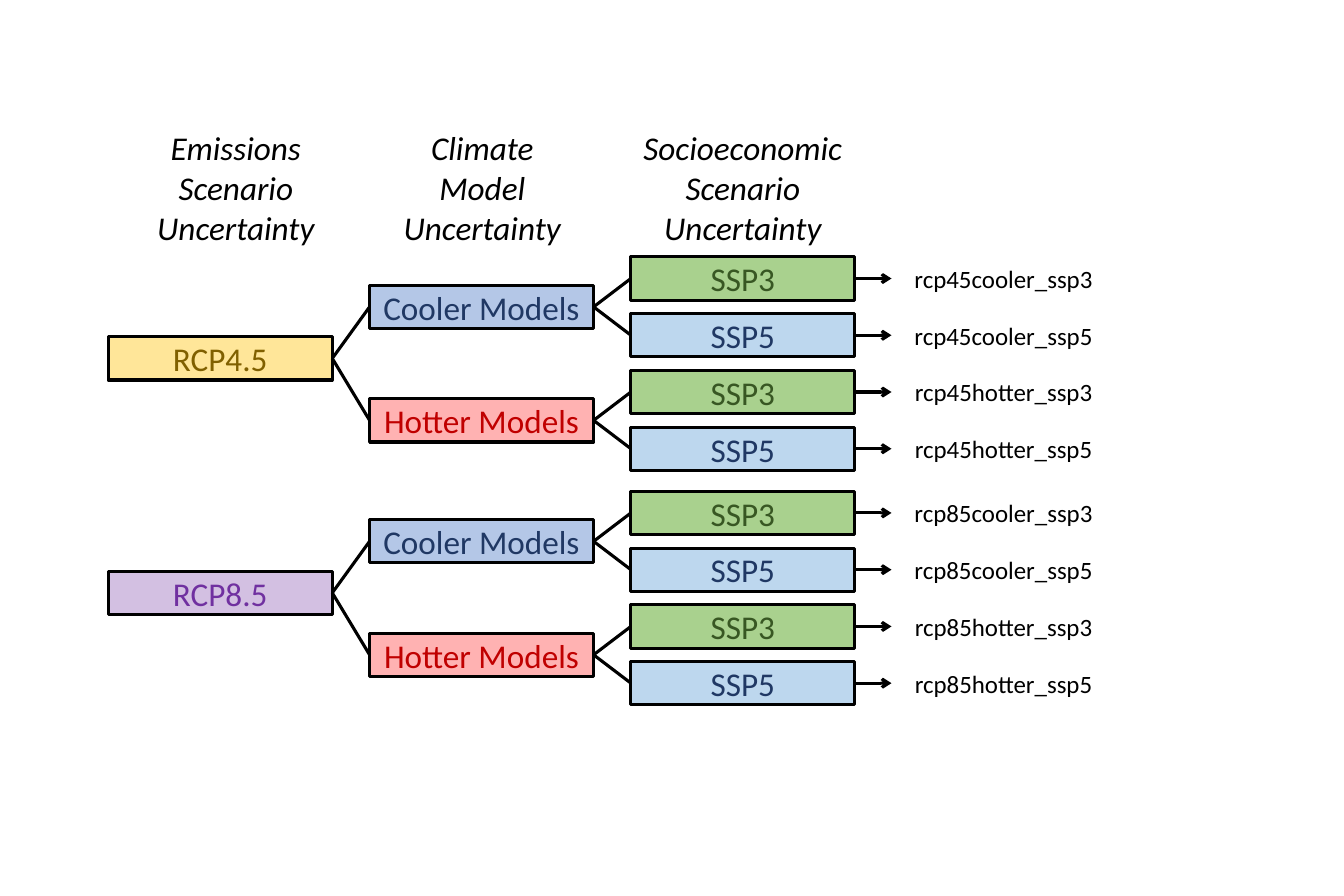
from dataclasses import dataclass
from lxml import etree
from pptx import Presentation
from pptx.dml.color import RGBColor
from pptx.enum.shapes import MSO_CONNECTOR, MSO_SHAPE
from pptx.enum.text import MSO_ANCHOR, PP_ALIGN
from pptx.oxml.ns import qn
from pptx.util import Inches, Pt

RECTANGLE = MSO_SHAPE.RECTANGLE
STRAIGHT = MSO_CONNECTOR.STRAIGHT
CENTER = PP_ALIGN.CENTER
TOP, MIDDLE = MSO_ANCHOR.TOP, MSO_ANCHOR.MIDDLE
LEFT_SITE, RIGHT_SITE = 1, 3


@dataclass(frozen=True)
class Theme:
    font: str = "Calibri"
    ink: str = "000000"
    node_size: int = 32
    label_size: int = 24
    line_width: int = 3


@dataclass(frozen=True)
class NodeStyle:
    fill: str
    text: str
    opacity: int = 100


THEME = Theme()
STYLES = {
    "RCP4.5": NodeStyle("FFE699", "806000"),
    "RCP8.5": NodeStyle("7030A0", "7030A0", 30),
    "Cooler Models": NodeStyle("B4C7E7", "203864"),
    "Hotter Models": NodeStyle("FF0000", "C00000", 30),
    "SSP3": NodeStyle("A9D18E", "385723"),
    "SSP5": NodeStyle("BDD7EE", "203864"),
}
HEADINGS = [
    (1.66, "Emissions Scenario Uncertainty"),
    (4.96, "Climate\nModel Uncertainty"),
    (8.45, "Socioeconomic Scenario Uncertainty"),
]
SCENARIOS = ["RCP4.5", "RCP8.5"]
MODELS = ["Cooler Models", "Hotter Models"]
PATHWAYS = ["SSP3", "SSP5"]

NODE_WIDTH, NODE_HEIGHT = 3, 0.58
COLUMN_STEP = 3.5
LABEL_LEFT = 10.49
ROW_STEP = 0.76
SCENARIO_DROP = 1.07
TREE_LEFT, TREE_TOP, TREE_STEP = 1.45, 3.44, 3.14


def write(shape, text, size, color, anchor=MIDDLE, italic=False):
    frame = shape.text_frame
    frame.word_wrap = True
    frame.vertical_anchor = anchor
    frame.text = text
    for para in frame.paragraphs:
        para.alignment = CENTER
        for span in para.runs:
            span.font.name = THEME.font
            span.font.size = Pt(size)
            span.font.italic = italic
            span.font.color.rgb = RGBColor.from_string(color)


def add_text(page, left, top, width, height, text, size, **options):
    box = page.shapes.add_textbox(Inches(left), Inches(top), Inches(width), Inches(height))
    write(box, text, size, THEME.ink, **options)
    return box


def add_node(page, left, top, name):
    style = STYLES[name]
    node = page.shapes.add_shape(
        RECTANGLE, Inches(left), Inches(top), Inches(NODE_WIDTH), Inches(NODE_HEIGHT))
    node.shadow.inherit = False
    node.fill.solid()
    node.fill.fore_color.rgb = RGBColor.from_string(style.fill)
    if style.opacity < 100:
        color = node.fill._xPr.find(qn("a:solidFill"))[0]
        etree.SubElement(color, qn("a:alpha"), val=str(style.opacity * 1000))
    node.line.color.rgb = RGBColor.from_string(THEME.ink)
    node.line.width = Pt(THEME.line_width)
    write(node, name, THEME.node_size, style.text)
    return node


def link(page, source, target, arrow=False):
    line = page.shapes.add_connector(STRAIGHT, 0, 0, 0, 0)
    line.begin_connect(source, RIGHT_SITE)
    line.end_connect(target, LEFT_SITE)
    line.line.color.rgb = RGBColor.from_string(THEME.ink)
    line.line.width = Pt(THEME.line_width)
    if arrow:
        etree.SubElement(line.line._get_or_add_ln(), qn("a:tailEnd"), type="arrow")
    etree.SubElement(line._element.spPr, qn("a:effectLst"))


def add_headings(page, top, width, height):
    for left, text in HEADINGS:
        add_text(page, left, top, width, height, text, THEME.node_size,
                 anchor=TOP, italic=True)


def add_tree(page, left, top, scenario):
    root = add_node(page, left, top + SCENARIO_DROP, scenario)
    for model_index, model in enumerate(MODELS):
        first_row = model_index * len(PATHWAYS)
        middle_row = first_row + (len(PATHWAYS) - 1) / 2
        branch = add_node(page, left + COLUMN_STEP, top + middle_row * ROW_STEP, model)
        link(page, root, branch)
        for row, pathway in enumerate(PATHWAYS, first_row):
            row_top = top + row * ROW_STEP
            leaf = add_node(page, left + 2 * COLUMN_STEP, row_top, pathway)
            link(page, branch, leaf)
            code = f"{scenario.replace('.', '')}{model.split()[0]}_{pathway}".lower()
            label = add_text(page, left + LABEL_LEFT, row_top, NODE_WIDTH, NODE_HEIGHT,
                             code, THEME.label_size)
            link(page, leaf, label, arrow=True)


deck = Presentation()
deck.slide_width, deck.slide_height = Inches(18), Inches(12)
page = deck.slides.add_slide(deck.slide_layouts.get_by_name("Blank"))
add_headings(page, 1.66, 3, 1.72)
for index, scenario in enumerate(SCENARIOS):
    add_tree(page, TREE_LEFT, TREE_TOP + index * TREE_STEP, scenario)
deck.save("out.pptx")
